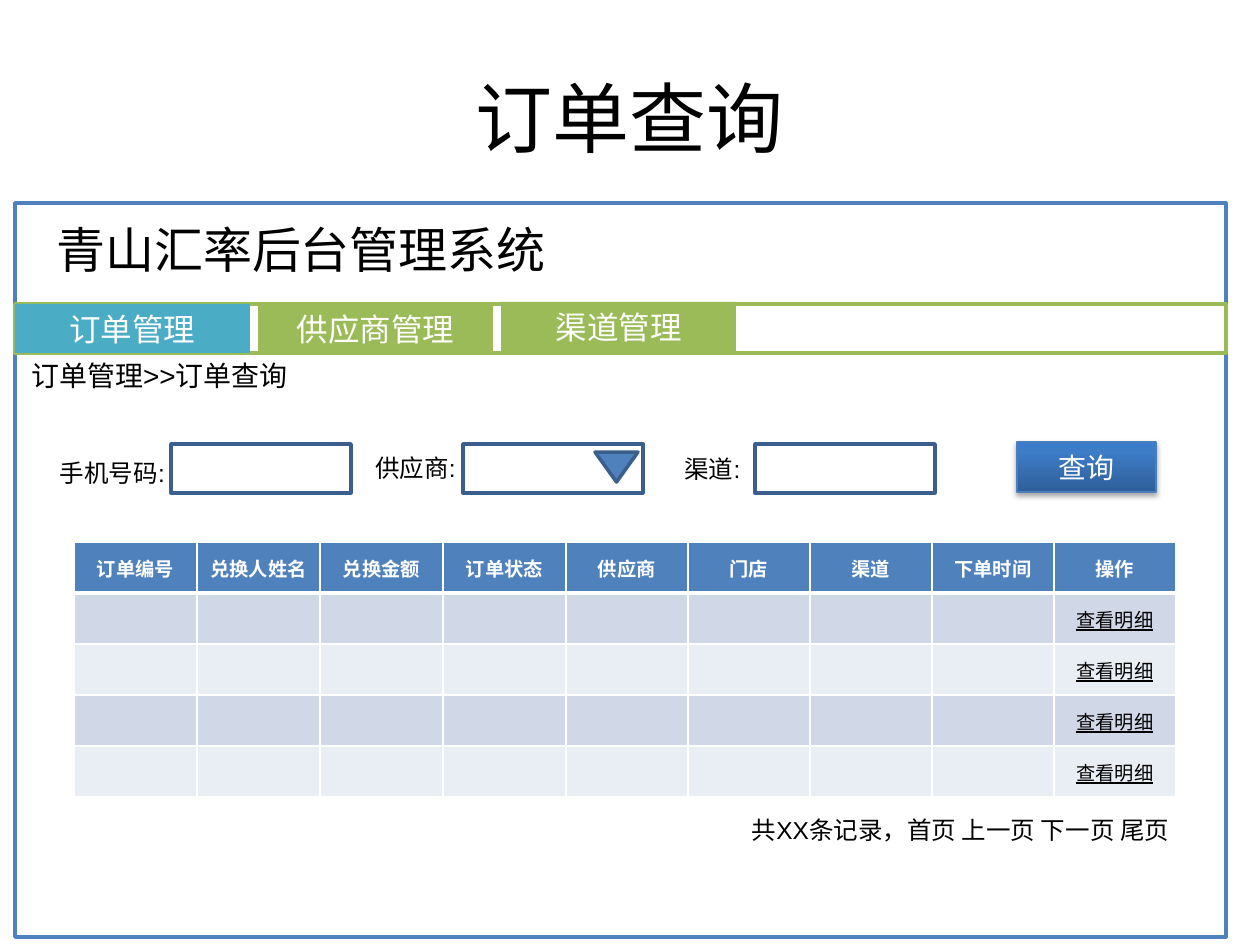
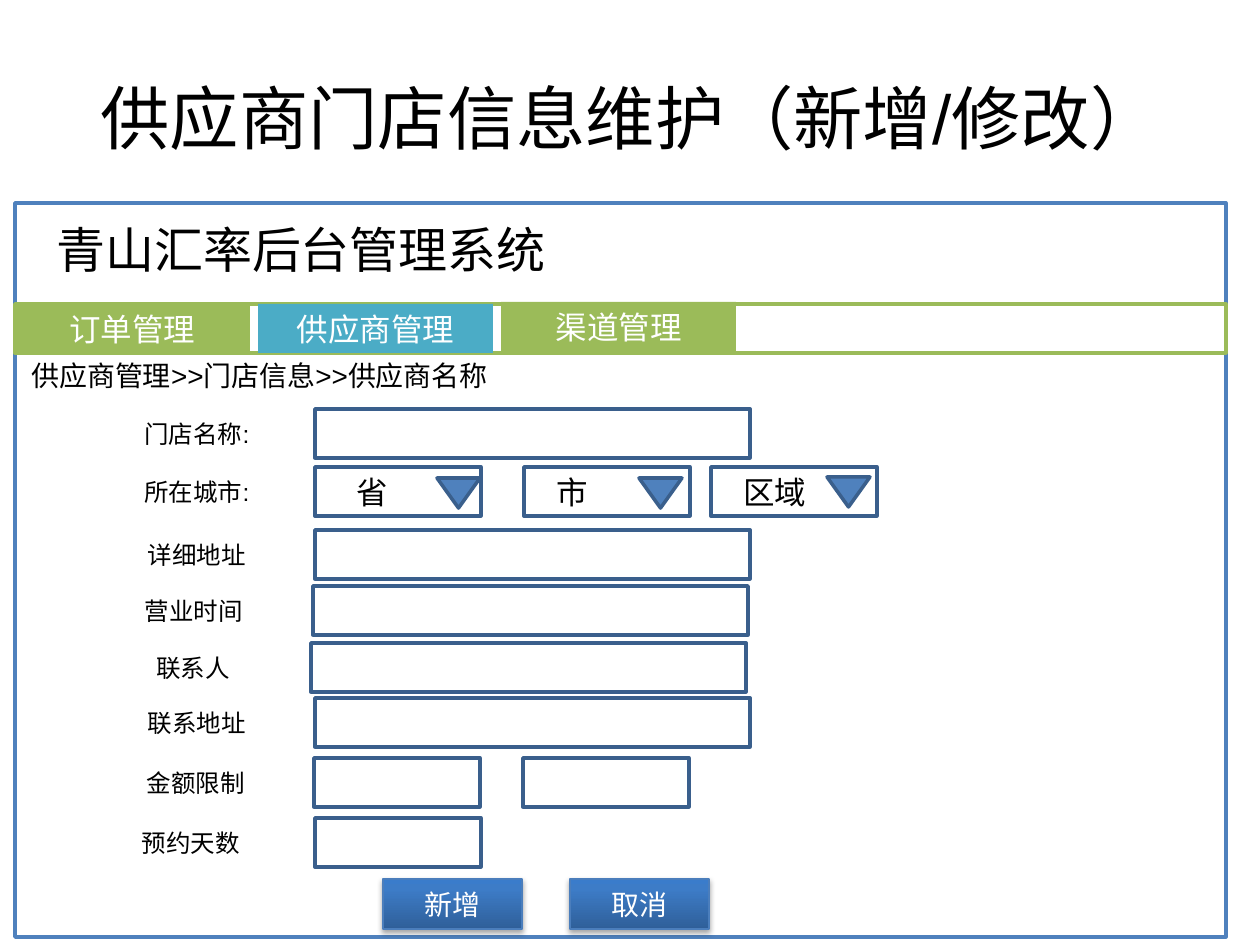
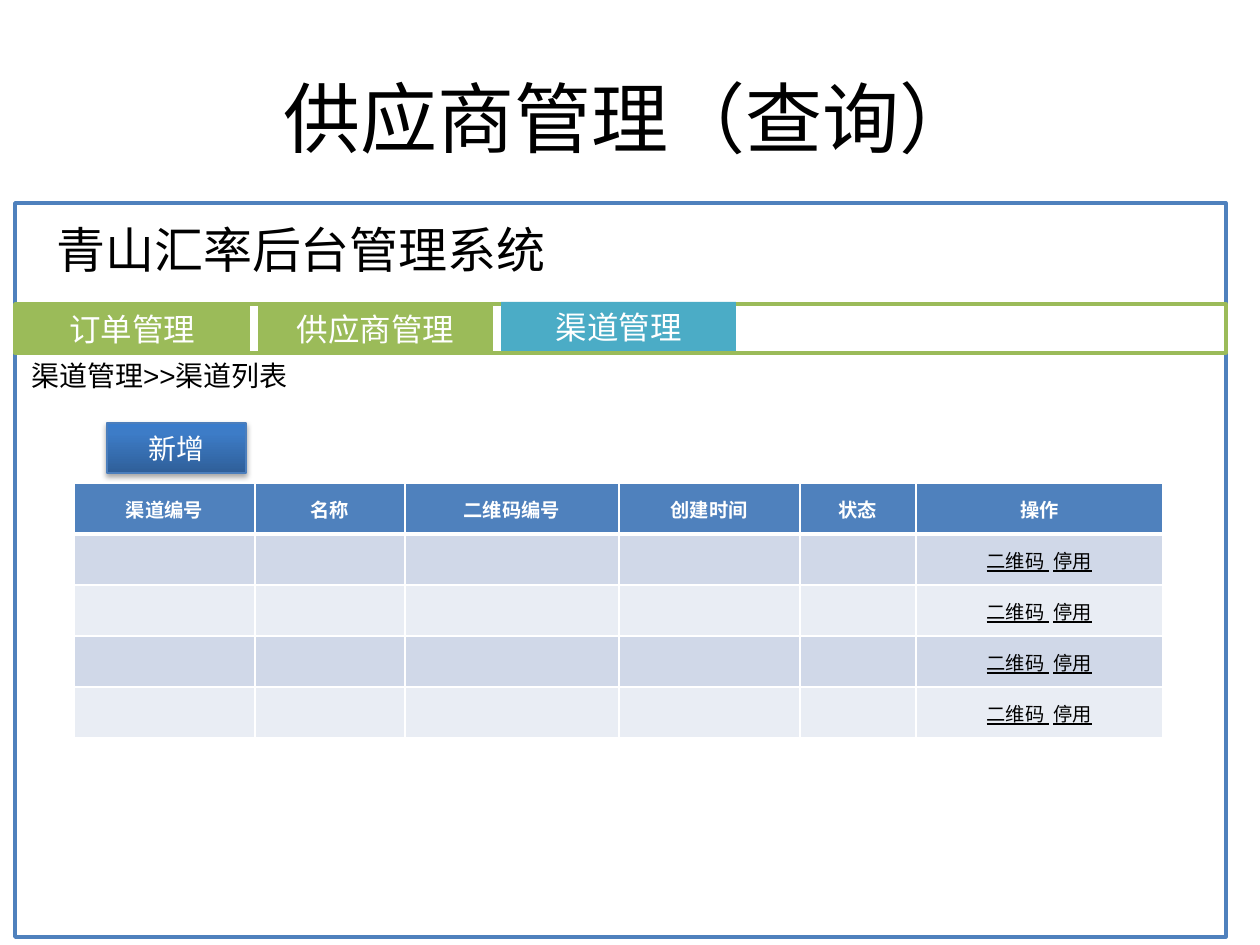
from pptx import Presentation, util as u
from pptx.dml.color import RGBColor
from pptx.enum import shapes, text
from pptx.oxml import parse_xml
from pptx.oxml.ns import nsdecls, qn

PX = 914400 / 126
BLUE, NAVY, GREEN, TEAL = "4F81BD", "3A5F8C", "9BBB59", "4BACC6"
WHITE, BLACK = "FFFFFF", "000000"
BANDS = ["E9EDF4", "D0D8E8"]
RECT = shapes.MSO_SHAPE.RECTANGLE
LEFT, MID, RIGHT = text.PP_ALIGN.LEFT, text.PP_ALIGN.CENTER, text.PP_ALIGN.RIGHT
TABS = [("订单管理", 304), ("供应商管理", 304), ("渠道管理", 302)]
STOPS = [(0, "2F5F99"), (80, "3D7CC7"), (100, "3A7CCB")]
tint = RGBColor.from_string


def write(frame, parts, ink=BLACK, align=MID, **form):
    """Fill the first paragraph with (words, underline) runs in one format."""
    para = frame.paragraphs[0]
    para.alignment = align
    for words, under in parts:
        run = para.add_run()
        run.text = words
        run.font.color.rgb = tint(ink)
        look = {"name": "Arial", "underline": under or None, **form}
        for key, val in look.items():
            setattr(run.font, key, val)


def put(page, spot, words="", kind=RECT, fill=None, edge=None, wide=2,
        align=MID, **form):
    """Add a shape, or a text box if kind is None, at a pixel spot."""
    spot = [round(n * PX) for n in spot]
    if kind is None:
        shape = page.shapes.add_textbox(*spot)
    else:
        shape = page.shapes.add_shape(kind, *spot)
        shape.shadow.inherit = False
        if fill:
            shape.fill.solid()
            shape.fill.fore_color.rgb = tint(fill)
        else:
            shape.fill.background()
        if edge:
            shape.line.color.rgb = tint(edge)
            shape.line.width = u.Pt(wide)
        else:
            shape.line.fill.background()
    if words:
        frame = shape.text_frame
        frame.word_wrap = True
        if align == MID:
            frame.margin_left = frame.margin_right = 0
            frame.vertical_anchor = text.MSO_ANCHOR.MIDDLE
        write(frame, [(words, False)], align=align, **form)
    return shape


# Form rows: label, label left, label top, field left, field widths
ROWS = [
    ("门店名称:", 121, 394, [(315, 435)]),
    ("所在城市:", 121, 452, [(315, 166), (524, 166), (711, 166)]),
    ("详细地址", 121, 515, [(315, 435)]),
    ("营业时间", 118, 571, [(313, 435)]),
    ("联系人", 117, 628, [(311, 435)]),
    ("联系地址", 121, 683, [(315, 435)]),
    ("金额限制", 120, 743, [(314, 166), (523, 166)]),
    ("预约天数", 115, 803, [(315, 166)]),
]
PAGES = [
    {"title": "订单查询", "size": 44, "tab": 0, "crumb": "订单管理>>订单查询",
     "labels": [("手机号码:", 50, 433, 125), ("供应商:", 353, 428, 125),
                ("渠道:", 650, 429, 125)],
     "fields": [(171 + 292 * i, 444, 180) for i in range(3)],
     "arrows": [(595, 452)],
     "buttons": [("查询", 1017, 442)],
     "grid": {"top": 542, "cols": [123] * 4 + [122] * 5,
              "heads": ["订单编号", "兑换人姓名", "兑换金额", "订单状态", "供应商",
                        "门店", "渠道", "下单时间", "操作"],
              "links": [("查看明细", True)]},
     "foot": "共XX条记录，首页 上一页 下一页 尾页"},
    {"title": "供应商门店信息维护（新增/修改）", "size": 39.6, "tab": 1,
     "crumb": "供应商管理>>门店信息>>供应商名称",
     "labels": [(name, x, y, 152) for name, x, y, _ in ROWS],
     "fields": [(x, y + 15, w) for _, _, y, row in ROWS for x, w in row],
     "arrows": [(437, 478), (639, 478), (827, 477)],
     "picks": [("省", 344), ("市", 544), ("区域", 731)],
     "buttons": [("新增", 383, 879), ("取消", 570, 879)]},
    {"title": "供应商管理（查询）", "size": 44, "tab": 2, "crumb": "渠道管理>>渠道列表",
     "buttons": [("新增", 107, 423)],
     "grid": {"top": 483, "cols": [181, 150, 214, 181, 116, 247],
              "heads": ["渠道编号", "名称", "二维码编号", "创建时间", "状态", "操作"],
              "links": [("二维码 ", True), (" ", False), ("停用", True)]}},
]

deck = Presentation()
deck.slide_width, deck.slide_height = u.Inches(10), u.Inches(7.5)

for plan in PAGES:
    page = deck.slides.add_slide(deck.slide_layouts[5])

    # Title, window frame and menu
    title = page.shapes.title
    for key, val in {"left": 63, "top": 38, "width": 1134, "height": 158}.items():
        setattr(title, key, round(val * PX))
    title.text_frame.vertical_anchor = text.MSO_ANCHOR.MIDDLE
    write(title.text_frame, [(plan["title"], False)], size=u.Pt(plan["size"]))
    put(page, (15, 203, 1211, 734), fill=WHITE, edge=BLUE)
    put(page, (44, 213, 753, 72), "青山汇率后台管理系统", None, align=LEFT, size=u.Pt(28))
    put(page, (15, 304, 1211, 49), fill=WHITE, edge=GREEN)
    for i, (name, top) in enumerate(TABS):
        put(page, (15 + 243 * i, top, 235, 49), name,
            fill=TEAL if i == plan["tab"] else GREEN, ink=WHITE, size=u.Pt(18))
    put(page, (19, 352, 513, 47), plan["crumb"], None, align=LEFT, size=u.Pt(16))

    # Form
    for name, x, y, wide in plan.get("labels", []):
        put(page, (x, y, wide, 79), name, None, size=u.Pt(14))
    for x, y, wide in plan.get("fields", []):
        put(page, (x, y, wide, 49), edge=NAVY)
    for x, y in plan.get("arrows", []):
        arrow = put(page, (x, y, 43, 30), kind=shapes.MSO_SHAPE.ISOSCELES_TRIANGLE,
                    fill=BLUE, edge=NAVY)
        arrow.rotation = 180
    for name, x in plan.get("picks", []):
        put(page, (x, 467, 96, 50), name, None, align=LEFT, size=u.Pt(18), name="Calibri")

    # Buttons with a gradient and a soft shadow
    for name, x, y in plan["buttons"]:
        button = put(page, (x, y, 139, 50), name, shapes.MSO_SHAPE.ROUNDED_RECTANGLE,
                     edge="4B7EBC", wide=0.75, ink=WHITE, size=u.Pt(16))
        button.adjustments[0] = 0
        button.fill.gradient()
        button.fill.gradient_angle = 90
        props = button.element.spPr
        stops = props.find(qn("a:gradFill")).find(qn("a:gsLst"))
        stops.clear()
        for place, shade in STOPS:
            stops.append(parse_xml(
                f'<a:gs {nsdecls("a")} pos="{place * 1000}"><a:srgbClr val="{shade}"/></a:gs>'))
        props.find(qn("a:effectLst")).append(parse_xml(
            f'<a:outerShdw {nsdecls("a")} blurRad="40000" dist="23000" dir="5400000" '
            f'rotWithShape="0"><a:srgbClr val="{BLACK}"><a:alpha val="35000"/>'
            '</a:srgbClr></a:outerShdw>'))

    # Record table
    grid = plan.get("grid")
    if grid:
        cols, heads = grid["cols"], grid["heads"]
        spot = [round(n * PX) for n in (74, grid["top"], sum(cols), 255)]
        table = page.shapes.add_table(5, len(cols), *spot).table
        for col, wide in zip(table.columns, cols):
            col.width = round(wide * PX)
        for r in range(5):
            for c, head in enumerate(heads):
                cell = table.cell(r, c)
                cell.vertical_anchor = text.MSO_ANCHOR.MIDDLE
                props = cell._tc.get_or_add_tcPr()
                for side in "LRTB":
                    thick = 3 if (r, side) in [(0, "B"), (1, "T")] else 1
                    props.append(parse_xml(
                        f'<a:ln{side} {nsdecls("a")} w="{thick * 12700}"><a:solidFill>'
                        f'<a:srgbClr val="{WHITE}"/></a:solidFill></a:ln{side}>'))
                cell.fill.solid()
                cell.fill.fore_color.rgb = tint(BANDS[r % 2] if r else BLUE)
                if r == 0:
                    write(cell.text_frame, [(head, False)], WHITE, name="Calibri",
                          size=u.Pt(11), bold=True)
                elif c == len(cols) - 1:
                    write(cell.text_frame, grid["links"], name="Calibri",
                          size=u.Pt(11), bold=False)
    if "foot" in plan:
        put(page, (581, 809, 601, 43), plan["foot"], None, align=RIGHT, size=u.Pt(14))

deck.save("out.pptx")
